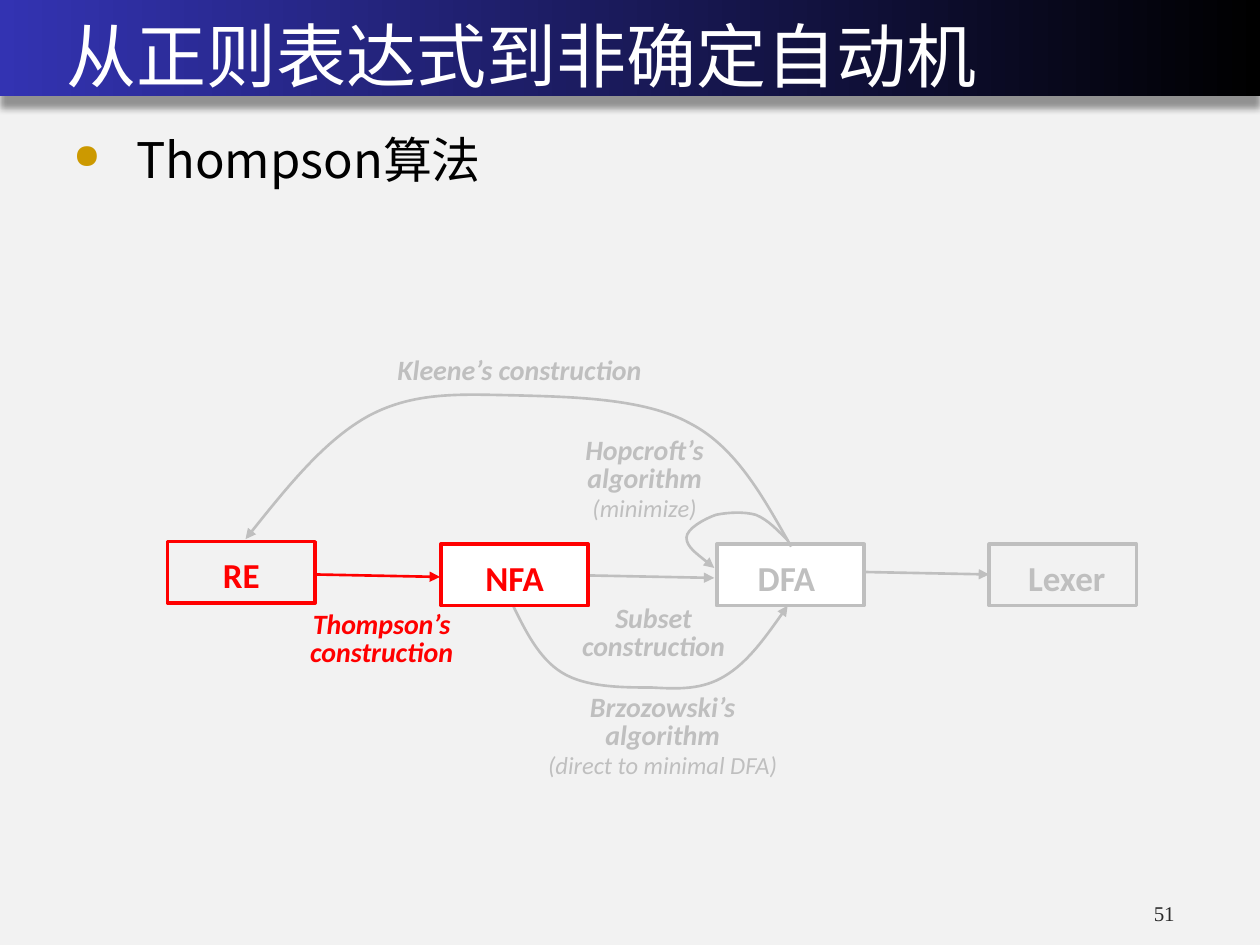
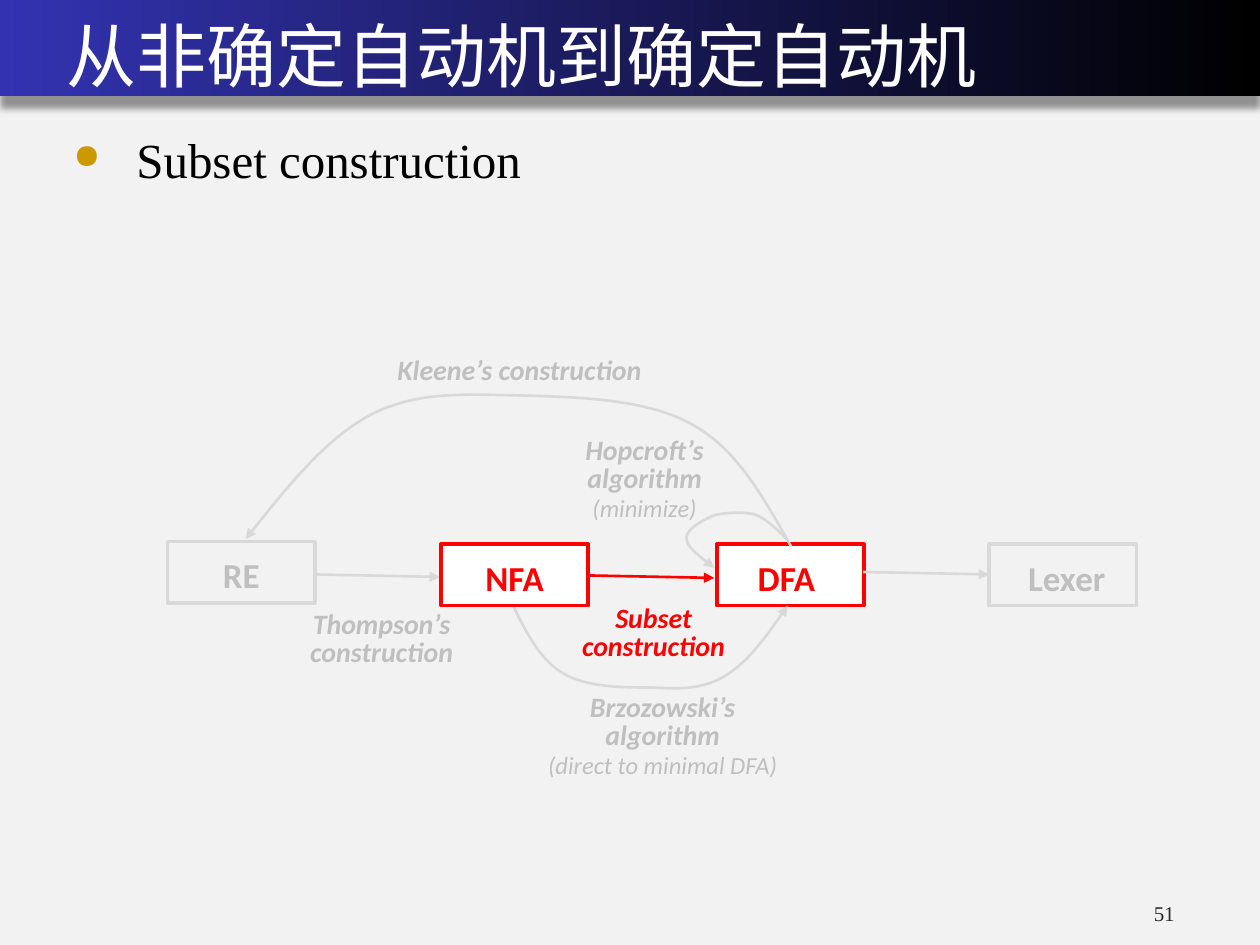
from lxml import etree
from pptx import Presentation
from pptx.dml.color import RGBColor
from pptx.enum import shapes, text
from pptx.oxml import ns
from pptx.util import Cm, Pt

WHITE = RGBColor(0xFF, 0xFF, 0xFF)
BLACK = RGBColor(0, 0, 0)
PAPER = RGBColor(0xF2, 0xF2, 0xF2)
BAND_BLUE = RGBColor(0x33, 0x33, 0xB2)
GOLD = RGBColor(0xCC, 0x99, 0x00)
NUMBER_GREY = RGBColor(0x29, 0x29, 0x29)
RED = RGBColor(0xFF, 0, 0)
GREY = RGBColor(0xBF, 0xBF, 0xBF)
PALE_GREY = RGBColor(0xD9, 0xD9, 0xD9)

CJK, SERIF, SANS = "Noto Sans CJK SC", "Times New Roman", "Calibri"

# Boxes: left, top, width, height in centimetres
SLIDE_SIZE = (25.4, 19.05)
BAND_BOX = (0, 0, 25.4, 1.93)
TITLE_BOX = (1.32, 0.2, 22.81, 1.75)
TOPIC_BOX = (1.45, 2.24, 18.62, 1.47)
NUMBER_BOX = (23.16, 18.24, 1.91, 0.43)
DIAGRAM_ORIGIN = (3.38, 6.98)

# Diagram parts, relative to the diagram's origin
NODE_SIZE = (2.97, 1.24)
NODES = {  # left, top, fill, shift of the label
    "RE": (0, 3.94, None, 0),
    "DFA": (11.07, 3.99, WHITE, -0.08),
    "Lexer": (16.56, 3.99, None, 0.08),
    "NFA": (5.51, 3.99, WHITE, 0),
}
ARROW_STEP = (2.54, 0.05)
ARROWS = {"Thompson": (2.95, 4.6), "Subset": (8.48, 4.62), "Lexer": (14.02, 4.55)}
LABELS = {  # box, bold lines, plain note
    "Kleene": ((4.34, 0, 5.51, 0.94), ["Kleene’s construction"], None),
    "Thompson": ((2.59, 5.23, 3.45, 1.4), ["Thompson’s", "construction"], None),
    "Subset": ((8.08, 5.11, 3.43, 1.4), ["Subset", "construction"], None),
    "Hopcroft": ((8, 1.73, 3.23, 1.98), ["Hopcroft’s", "algorithm"], "(minimize)"),
    "Brzozowski": ((7.39, 6.91, 5.18, 1.96), ["Brzozowski’s", "algorithm"],
                   "(direct to minimal DFA)"),
}
# Start point, then three Bézier points per segment, in hundredths of a centimetre
CURVES = {
    "Brzozowski": [(693, 516), (721, 574), (749, 630), (795, 658),
                   (843, 688), (919, 688), (975, 688),
                   (1029, 691), (1077, 693), (1123, 665),
                   (1168, 638), (1209, 582), (1250, 523)],
    "Kleene": [(1257, 404), (1201, 305), (1146, 203), (1052, 155),
               (960, 104), (808, 102), (699, 99),
               (592, 97), (498, 91), (406, 140),
               (318, 188), (236, 290), (157, 389)],
    "Hopcroft": [(1250, 391), (1229, 371), (1212, 351), (1186, 340),
                 (1162, 333), (1128, 335), (1105, 340),
                 (1082, 348), (1046, 368), (1046, 386),
                 (1046, 404), (1074, 424), (1102, 447)],
}

SLIDES = [  # title, topic, topic font, highlighted parts, colour of other lines
    ("从正则表达式到非确定自动机", "Thompson算法", CJK, {"RE", "NFA", "Thompson"}, GREY),
    ("从非确定自动机到确定自动机", "Subset construction", SERIF,
     {"NFA", "DFA", "Subset"}, PALE_GREY),
]


def cm(*lengths):
    return [Cm(length) for length in lengths]


def add_xml(parent, tag, **attributes):
    element = etree.SubElement(parent, ns.qn(tag))
    for key, value in attributes.items():
        element.set(key, str(value))
    return element


def style_paragraph(paragraph, font_name, size, color, bold=False, italic=False):
    for run in paragraph.runs:
        font = run.font
        font.name, font.size, font.color.rgb = font_name, Pt(size), color
        font.bold, font.italic = bold, italic
        add_xml(run._r.get_or_add_rPr(), "a:ea", typeface=font_name)


def set_margins(frame, left=0, top=0, right=0, bottom=0):
    frame.margin_left, frame.margin_top, frame.margin_right, frame.margin_bottom = cm(
        left, top, right, bottom)


def add_arrowhead(line):
    add_xml(line._get_or_add_ln(), "a:tailEnd", type="triangle")


# Shared background and title band
def dress_layout(layout, slide):
    layout.background.fill.solid()
    layout.background.fill.fore_color.rgb = PAPER
    band = slide.shapes.add_shape(shapes.MSO_SHAPE.RECTANGLE, *cm(*BAND_BOX))
    band.fill.gradient()
    band.fill.gradient_angle = 180
    for stop, position, color in zip(band.fill.gradient_stops, (0, 1), (BLACK, BAND_BLUE)):
        stop.position, stop.color.rgb = position, color
    band.line.fill.background()
    band.shadow.inherit = False
    effects = band.element.spPr.find(ns.qn("a:effectLst"))
    shadow = add_xml(effects, "a:outerShdw", blurRad=Pt(4), dist=Pt(7),
                     dir=5400000, algn="ctr", rotWithShape=0)
    add_xml(add_xml(shadow, "a:srgbClr", val=BLACK), "a:alpha", val=40000)
    layout.shapes.element.insert(2, band.element)


def fill_title(title, box, wording):
    title.left, title.top, title.width, title.height = cm(*box)
    frame = title.text_frame
    frame.text = wording
    frame.auto_size = text.MSO_AUTO_SIZE.NONE
    frame.vertical_anchor = text.MSO_ANCHOR.MIDDLE
    set_margins(frame, left=0.03, top=0.03)
    frame.paragraphs[0].alignment = text.PP_ALIGN.LEFT
    style_paragraph(frame.paragraphs[0], CJK, 40, WHITE)


def add_topic(slide, box, wording, font_name):
    frame = slide.shapes.add_textbox(*cm(*box)).text_frame
    frame.word_wrap = True
    set_margins(frame, top=0.28)
    topic = frame.paragraphs[0]
    topic.text = wording
    topic.line_spacing = Pt(36)
    properties = topic._p.get_or_add_pPr()
    properties.set("marL", str(Cm(1.3)))
    properties.set("indent", str(Cm(-1.27)))
    add_xml(add_xml(properties, "a:buClr"), "a:srgbClr", val=GOLD)
    add_xml(properties, "a:buSzPct", val=70000)
    add_xml(properties, "a:buChar", char="●")
    style_paragraph(topic, font_name, 28, BLACK)


def add_number(slide, box, wording):
    frame = slide.shapes.add_textbox(*cm(*box)).text_frame
    frame.word_wrap = True
    set_margins(frame, left=0.1)
    frame.text = wording
    frame.paragraphs[0].line_spacing = Pt(12.2)
    style_paragraph(frame.paragraphs[0], SERIF, 12, NUMBER_GREY)


def add_node(slide, origin, name, line_color, text_color):
    left, top, fill, shift = NODES[name]
    node = slide.shapes.add_shape(shapes.MSO_SHAPE.RECTANGLE,
                                  *cm(origin[0] + left, origin[1] + top, *NODE_SIZE))
    node.shadow.inherit = False
    if fill is None:
        node.fill.background()
    else:
        node.fill.solid()
        node.fill.fore_color.rgb = fill
    node.line.color.rgb, node.line.width = line_color, Pt(2)
    frame = node.text_frame
    set_margins(frame, left=0.25 + shift, top=0.1, right=0.25 - shift)
    frame.vertical_anchor = text.MSO_ANCHOR.MIDDLE
    frame.text = name
    frame.paragraphs[0].alignment = text.PP_ALIGN.CENTER
    style_paragraph(frame.paragraphs[0], SANS, 20, text_color, bold=True)


def add_arrow(slide, origin, start, color):
    x, y = origin[0] + start[0], origin[1] + start[1]
    arrow = slide.shapes.add_connector(shapes.MSO_CONNECTOR.STRAIGHT,
                                       *cm(x, y, x + ARROW_STEP[0], y + ARROW_STEP[1]))
    arrow.line.color.rgb, arrow.line.width = color, Pt(1.5)
    add_arrowhead(arrow.line)
    add_xml(arrow.element.spPr, "a:effectLst")


def add_label(slide, origin, box, lines, note, color):
    left, top, width, height = box
    frame = slide.shapes.add_textbox(
        *cm(origin[0] + left, origin[1] + top, width, height)).text_frame
    frame.word_wrap = False
    frame.text = "\n".join(lines + ([note] if note else []))
    for paragraph in frame.paragraphs:
        is_note = paragraph.text == note
        paragraph.alignment = text.PP_ALIGN.CENTER
        if len(frame.paragraphs) > 1:
            paragraph.line_spacing = Pt(16)
        style_paragraph(paragraph, SANS, 14 if is_note else 16, color,
                        bold=not is_note, italic=True)


def add_curve(slide, origin, points, color):
    builder = slide.shapes.build_freeform(*points[0], scale=Cm(0.01))
    builder.add_line_segments(points[1:], close=False)
    curve = builder.convert_to_shape(*cm(*origin))
    # Turn every three straight segments into one Bézier segment
    outline = next(curve.element.iter(ns.qn("a:path")))
    segments = outline.findall(ns.qn("a:lnTo"))
    for first in range(0, len(segments), 3):
        bezier = add_xml(outline, "a:cubicBezTo")
        for segment in segments[first:first + 3]:
            bezier.append(segment[0])
            outline.remove(segment)
    curve.fill.background()
    curve.shadow.inherit = False
    curve.line.color.rgb, curve.line.width = color, Pt(1.5)
    add_arrowhead(curve.line)


def add_diagram(slide, origin, highlighted, idle_line):
    def pick(name, idle):
        return RED if name in highlighted else idle

    *back_nodes, front_node = NODES
    for name in back_nodes:
        add_node(slide, origin, name, pick(name, idle_line), pick(name, GREY))
    for name, start in ARROWS.items():
        add_arrow(slide, origin, start, pick(name, idle_line))
    for name, (box, lines, note) in LABELS.items():
        add_label(slide, origin, box, lines, note, pick(name, GREY))
    for name, points in CURVES.items():
        add_curve(slide, origin, points, pick(name, idle_line))
    add_node(slide, origin, front_node, pick(front_node, idle_line), pick(front_node, GREY))


def main():
    deck = Presentation()
    deck.slide_width, deck.slide_height = cm(*SLIDE_SIZE)
    layout = deck.slide_layouts[5]
    for index, (title, topic, topic_font, highlighted, idle_line) in enumerate(SLIDES):
        slide = deck.slides.add_slide(layout)
        if index == 0:
            dress_layout(layout, slide)
        fill_title(slide.shapes.title, TITLE_BOX, title)
        add_topic(slide, TOPIC_BOX, topic, topic_font)
        add_number(slide, NUMBER_BOX, "51")
        add_diagram(slide, DIAGRAM_ORIGIN, highlighted, idle_line)
    deck.save("out.pptx")


if __name__ == "__main__":
    main()
